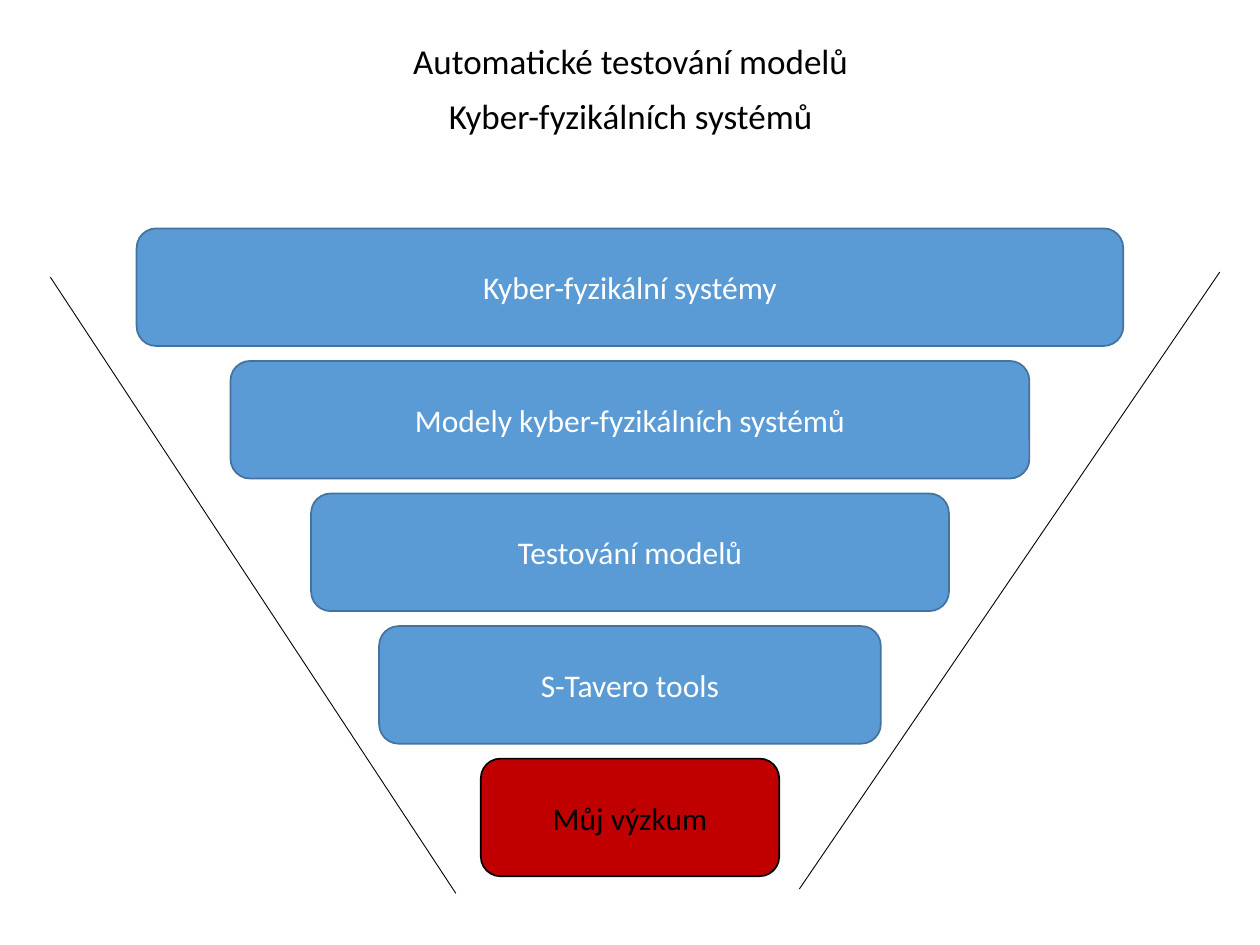
from pptx import Presentation
from pptx.dml.color import RGBColor
from pptx.enum.shapes import MSO_CONNECTOR as Line, MSO_SHAPE as Shape
from pptx.enum.text import MSO_ANCHOR as Anchor, PP_ALIGN as Align
from pptx.oxml.ns import qn
from pptx.util import Pt
from lxml import etree


def color(code):
    return RGBColor.from_string(code)


def style(par, text, size, code):
    par.text = text
    par.alignment = Align.CENTER
    par.font.name = "Calibri"
    par.font.size = Pt(size)
    par.font.color.rgb = color(code)


deck = Presentation()
deck.slide_width, deck.slide_height = Pt(720), Pt(540)
slide = deck.slides.add_slide(deck.slide_layouts[6])
shapes = slide.shapes

# Title lines
frame = shapes.add_textbox(Pt(21.6), Pt(21.6), Pt(677.5), Pt(497.5)).text_frame
frame.word_wrap = True
titles = ["Automatické testování modelů", "Kyber-fyzikálních systémů"]
for i, text in enumerate(titles):
    par = frame.add_paragraph() if i else frame.paragraphs[0]
    style(par, text, 20, "000000")
    par.line_spacing = 0.9
    par.space_before = Pt(10)

# Funnel sides
sides = [(28.8, 158.4, 260.5, 510.5), (697, 155.5, 456.8, 508)]
for ends in sides:
    side = shapes.add_connector(Line.STRAIGHT, *map(Pt, ends))
    side.line.color.rgb = color("000000")
    side.line.width = Pt(0.5)
    etree.SubElement(side._element.spPr, qn("a:effectLst"))

# Funnel levels, centred on the slide at an even pitch
blue = ("5B9BD5", "43739E", "FFFFFF")
red = ("C00000", "000000", "000000")
levels = [
    ("Kyber-fyzikální systémy", 563.8, blue),
    ("Modely kyber-fyzikálních systémů", 456.5, blue),
    ("Testování modelů", 364.5, blue),
    ("S-Tavero tools", 286.7, blue),
    ("Můj výzkum", 170.5, red),
]
top, pitch, high = 130.5, 75.75, 67.2
for i, (text, wide, (fill, edge, ink)) in enumerate(levels):
    box = shapes.add_shape(Shape.ROUNDED_RECTANGLE, Pt((720 - wide) / 2),
                           Pt(top + i * pitch), Pt(wide), Pt(high))
    box.shadow.inherit = False
    box.fill.solid()
    box.fill.fore_color.rgb = color(fill)
    box.line.color.rgb = color(edge)
    box.line.width = Pt(1)
    box.text_frame.word_wrap = True
    box.text_frame.vertical_anchor = Anchor.MIDDLE
    style(box.text_frame.paragraphs[0], text, 18, ink)

deck.save("out.pptx")
